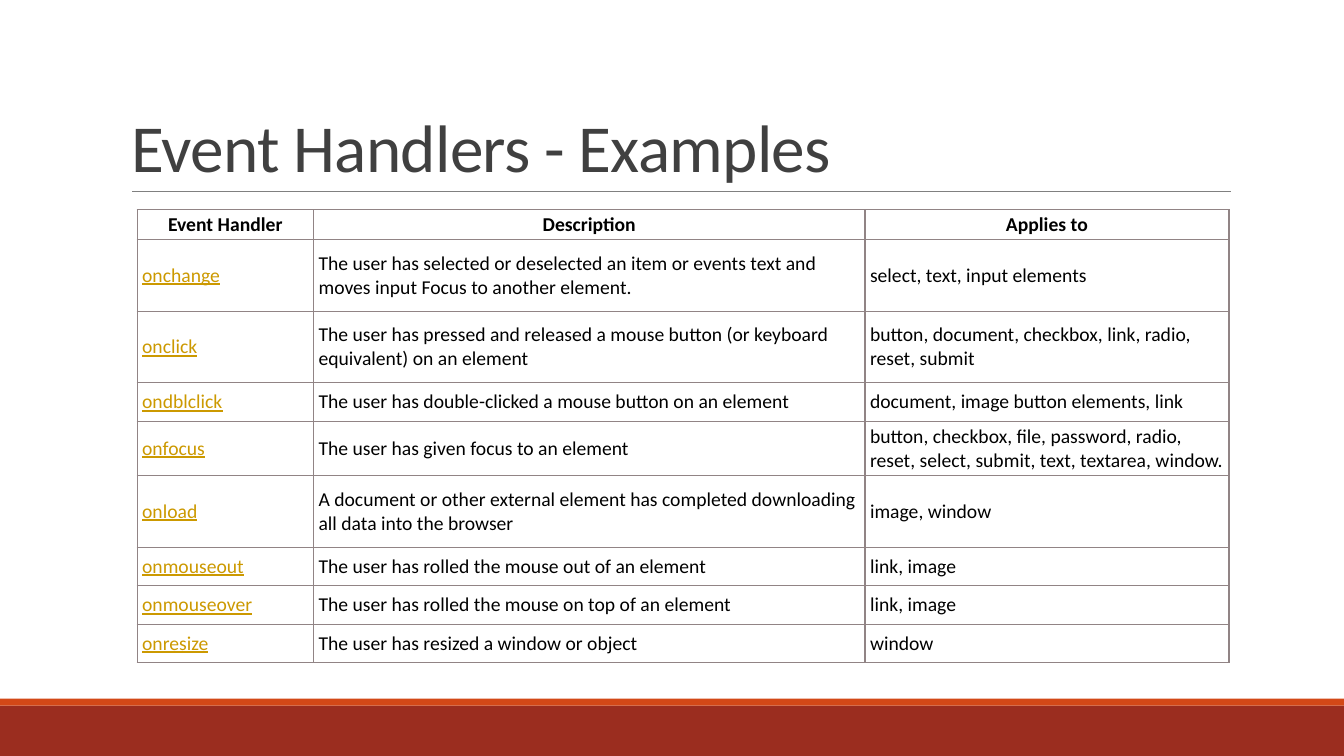
import pptx
import pptx.util
import pptx.dml.color
import pptx.enum.shapes
import pptx.enum.text
import pptx.oxml
import pptx.oxml.ns

RGB = pptx.dml.color.RGBColor
Pt = pptx.util.Pt
ANCHOR = pptx.enum.text.MSO_ANCHOR
ALIGN = pptx.enum.text.PP_ALIGN

BRICK = RGB(0x9B, 0x2D, 0x1F)
ORANGE = RGB(0xD3, 0x48, 0x17)
RULE = RGB(0x80, 0x80, 0x80)
BORDER = RGB(0x91, 0x84, 0x85)
DARK = RGB(0x40, 0x40, 0x40)
BLACK = RGB(0, 0, 0)
GOLD = RGB(0xCC, 0x99, 0x00)

COLS = [13.13, 41.03, 27.08]
TALL, SHORT = 9.47, 5.1
ROWS = [3.83, TALL, TALL, SHORT, 7.2, TALL, SHORT, SHORT, SHORT]
HANDLERS = [
    ("Event Handler", "Description", "Applies to"),
    ("onchange",
     "The user has selected or deselected an item or events text and moves input Focus to another element.",
     "select, text, input elements"),
    ("onclick",
     "The user has pressed and released a mouse button (or keyboard equivalent) on an element",
     "button, document, checkbox, link, radio, reset, submit"),
    ("ondblclick", "The user has double-clicked a mouse button on an element",
     "document, image button elements, link"),
    ("onfocus", "The user has given focus to an element",
     "button, checkbox, file, password, radio, reset, select, submit, text, textarea, window."),
    ("onload",
     "A document or other external element has completed downloading all data into the browser",
     "image, window"),
    ("onmouseout", "The user has rolled the mouse out of an element", "link, image"),
    ("onmouseover", "The user has rolled the mouse on top of an element", "link, image"),
    ("onresize", "The user has resized a window or object", "window"),
]


def assign(obj, formats):
    """Set each named attribute of an object."""
    for name, value in formats.items():
        setattr(obj, name, value)


class Deck:
    """Draw styled elements on one slide, with lengths in percent of its size."""

    font = "Calibri"
    inset = {"margin_left": Pt(3.6), "margin_right": Pt(3.6),
             "margin_top": Pt(2.16), "margin_bottom": Pt(2.16),
             "vertical_anchor": ANCHOR.MIDDLE}

    def __init__(self, width, height):
        self.prs = pptx.Presentation()
        assign(self.prs, {"slide_width": pptx.util.Inches(width),
                          "slide_height": pptx.util.Inches(height)})
        self.s = self.prs.slides.add_slide(self.prs.slide_layouts[5])

    def x(self, share):
        """Return a share of the slide's width."""
        return round(self.prs.slide_width * share / 100)

    def y(self, share):
        """Return a share of the slide's height."""
        return round(self.prs.slide_height * share / 100)

    def text(self, tf, words, size, color, paragraph, **font):
        """Fill a text frame with one styled run and return it."""
        p = tf.paragraphs[0]
        assign(p, paragraph)
        r = p.add_run()
        r.text = words
        assign(r.font, {"name": self.font, "size": Pt(size), **font})
        r.font.color.rgb = color
        return r

    def bar(self, top, height, color):
        """Add a full-width band."""
        sp = self.s.shapes.add_shape(pptx.enum.shapes.MSO_SHAPE.RECTANGLE,
                                     0, self.y(top), self.x(100), self.y(height))
        sp.shadow.inherit = False
        sp.fill.solid()
        sp.fill.fore_color.rgb = color
        sp.line.fill.background()

    def rule(self, left, right, top):
        """Add a thin horizontal line."""
        line = self.s.shapes.add_connector(pptx.enum.shapes.MSO_CONNECTOR.STRAIGHT,
                                           self.x(left), self.y(top), self.x(right), self.y(top))
        line.line.width = Pt(0.5)
        line.line.color.rgb = RULE
        line._element.spPr.append(pptx.oxml.parse_xml(
            f'<a:effectLst {pptx.oxml.ns.nsdecls("a")}/>'))

    def title(self, words, left, top, width, height):
        """Place and format the title."""
        sp = self.s.shapes.title
        assign(sp, {"left": self.x(left), "top": self.y(top),
                    "width": self.x(width), "height": self.y(height)})
        assign(sp.text_frame, {"word_wrap": True, "vertical_anchor": ANCHOR.BOTTOM,
                               "auto_size": pptx.enum.text.MSO_AUTO_SIZE.NONE})
        r = self.text(sp.text_frame, words, 48, DARK,
                      {"alignment": ALIGN.LEFT, "line_spacing": 0.85})
        r._r.get_or_add_rPr().set("spc", "-50")

    def border(self, cell):
        """Outline a table cell."""
        for side in ("lnL", "lnR", "lnT", "lnB"):
            cell._tc.get_or_add_tcPr().append(pptx.oxml.parse_xml(
                f'<a:{side} {pptx.oxml.ns.nsdecls("a")} w="{Pt(1)}"><a:solidFill>'
                f'<a:srgbClr val="{BORDER}"/></a:solidFill></a:{side}>'))

    def table(self, left, top, cols, rows, data):
        """Add a ruled table with a bold head row and link-like first column."""
        tbl = self.s.shapes.add_table(len(rows), len(cols), self.x(left), self.y(top),
                                      self.x(sum(cols)), self.y(sum(rows))).table
        assign(tbl, {"first_row": False, "horz_banding": False})
        for col, share in zip(tbl.columns, cols):
            col.width = self.x(share)
        for i, (row, share) in enumerate(zip(tbl.rows, rows)):
            row.height = self.y(share)
            for j, cell in enumerate(row.cells):
                head, link = i == 0, i > 0 and j == 0
                assign(cell, self.inset)
                self.border(cell)
                cell.fill.background()
                self.text(cell.text_frame, data[i][j], 14, GOLD if link else BLACK,
                          {"alignment": ALIGN.CENTER if head else ALIGN.LEFT},
                          bold=head, underline=link)


def main():
    """Build and save the slide."""
    deck = Deck(13.33, 7.5)
    deck.bar(93.33, 6.67, BRICK)
    deck.bar(92.4, 0.93, ORANGE)
    deck.rule(9.83, 91.6, 25.33)
    deck.title("Event Handlers - Examples", 9, 4.13, 82.52, 21.2)
    deck.table(10.2, 27.73, COLS, ROWS, HANDLERS)
    deck.prs.save("out.pptx")


if __name__ == "__main__":
    main()
